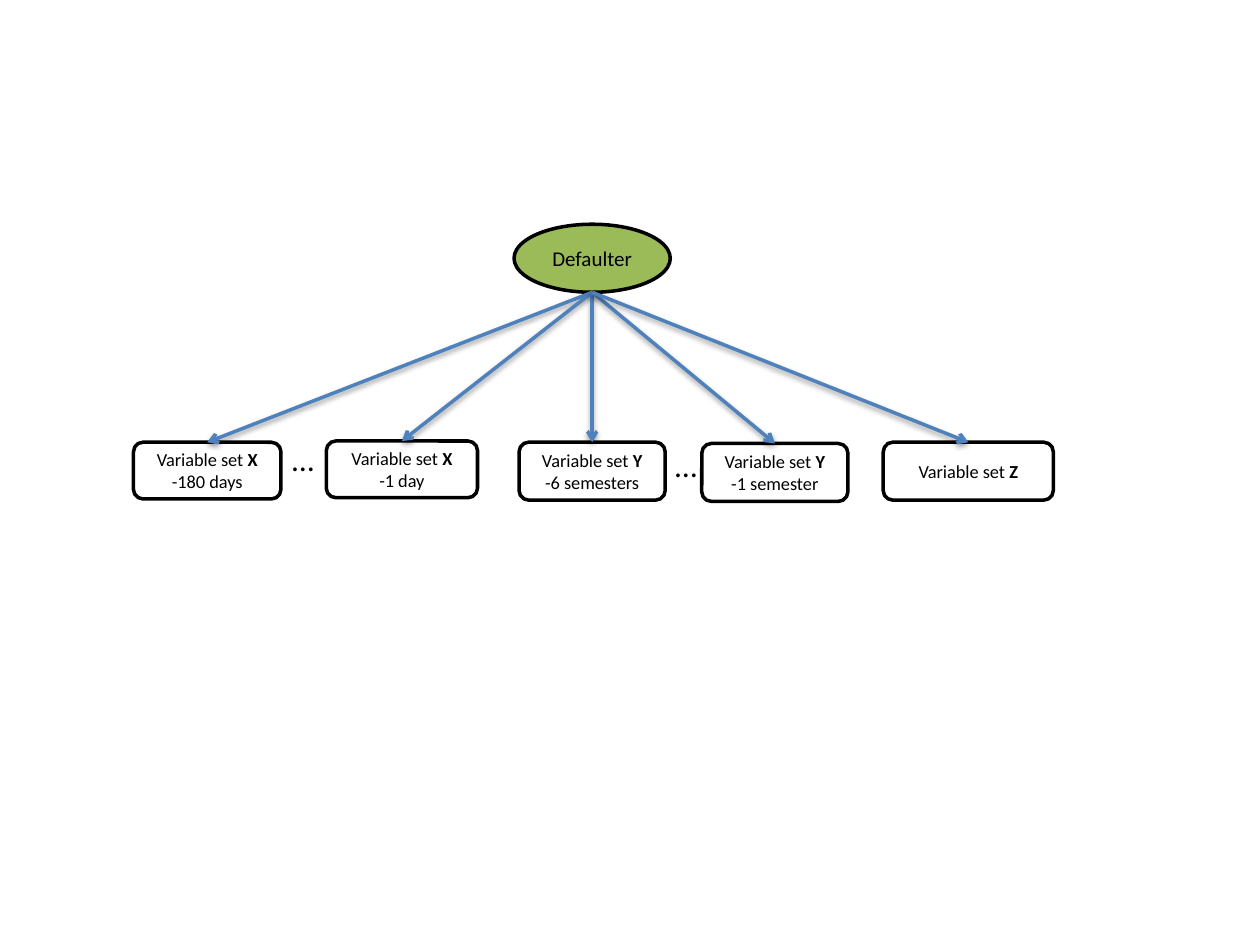
from pptx import Presentation
from pptx.dml.color import RGBColor
from pptx.enum.shapes import MSO_CONNECTOR, MSO_SHAPE
from pptx.enum.text import MSO_ANCHOR, PP_ALIGN
from pptx.oxml.ns import qn
from pptx.util import Inches, Pt
from lxml.etree import SubElement

BLACK = RGBColor(0x00, 0x00, 0x00)
GREEN = RGBColor(0x9B, 0xBB, 0x59)
BLUE = RGBColor(0x4F, 0x81, 0xBD)
CELL = Inches(0.1)
COLUMNS, ROWS = 100, 75

VARIABLE_SETS = [
    (0, 17.3, 11.7, 4.5, "X", "-180 days"),
    (15.3, 17.2, 12, 4.5, "X", "-1 day"),
    (30.6, 17.3, 11.6, 4.6, "Y", "-6 semesters"),
    (45.1, 17.4, 11.6, 4.6, "Y", "-1 semester"),
    (59.5, 17.3, 13.5, 4.6, "Z", None),
]
ELLIPSES = [(11.6, 16.6), (42, 17.1)]


def grid(*cells):
    """Turn grid cells into lengths."""
    return [int(n * CELL) for n in cells]


def style_paragraph(p, size, align=PP_ALIGN.CENTER):
    """Set the font and alignment of a paragraph."""
    p.alignment = align
    p.font.size = Pt(size)
    p.font.name = "Calibri"
    p.font.color.rgb = BLACK


def add_node(s, kind, box, fill=None):
    """Add an outlined shape and return its text frame."""
    sp = s.shapes.add_shape(kind, *grid(*box))
    sp.shadow.inherit = False
    if fill is None:
        sp.fill.background()
    else:
        sp.fill.solid()
        sp.fill.fore_color.rgb = fill
    sp.line.color.rgb = BLACK
    sp.line.width = Pt(2)
    tf = sp.text_frame
    tf.word_wrap = True
    tf.vertical_anchor = MSO_ANCHOR.MIDDLE
    return tf


def add_root(s, box):
    """Add the outcome at the top of the tree."""
    p = add_node(s, MSO_SHAPE.OVAL, box, GREEN).paragraphs[0]
    p.text = "Defaulter"
    style_paragraph(p, 12)


def add_variable_set(s, box, letter, period):
    """Add a variable set with its bold letter and optional period."""
    tf = add_node(s, MSO_SHAPE.ROUNDED_RECTANGLE, box)
    p = tf.paragraphs[0]
    p.add_run().text = "Variable set "
    r = p.add_run()
    r.text = letter
    r.font.bold = True
    if period:
        tf.add_paragraph().text = period
    for p in tf.paragraphs:
        style_paragraph(p, 10.5)


def add_ellipsis(s, box):
    """Add the dots between two variable sets."""
    tf = s.shapes.add_textbox(*grid(*box)).text_frame
    tf.word_wrap = False
    p = tf.paragraphs[0]
    p.text = "…"
    style_paragraph(p, 18, PP_ALIGN.LEFT)


def add_arrow(s, start, end):
    """Add a shadowed arrow from the outcome to a variable set."""
    cx = s.shapes.add_connector(MSO_CONNECTOR.STRAIGHT, *grid(*start, *end))
    cx.line.color.rgb = BLUE
    cx.line.width = Pt(2)
    SubElement(cx.line._get_or_add_ln(), qn("a:tailEnd"), type="arrow")


def add_tree(s, left, top):
    """Draw the tree from its top left corner."""
    root_x, root_w, root_h = left + 30.2, 12.4, 5.4
    add_root(s, (root_x, top, root_w, root_h))
    start = (root_x + root_w / 2, top + root_h)
    for x, y, w, h, letter, period in VARIABLE_SETS:
        add_variable_set(s, (left + x, top + y, w, h), letter, period)
        add_arrow(s, start, (left + x + w / 2, top + y))
    for x, y in ELLIPSES:
        add_ellipsis(s, (left + x, top + y, 3.8, 4))


def main():
    """Build and save the slide."""
    prs = Presentation()
    prs.slide_width, prs.slide_height = grid(COLUMNS, ROWS)
    s = prs.slides.add_slide(prs.slide_layouts[6])
    add_tree(s, 10.6, 17.8)
    prs.save("out.pptx")


if __name__ == "__main__":
    main()
